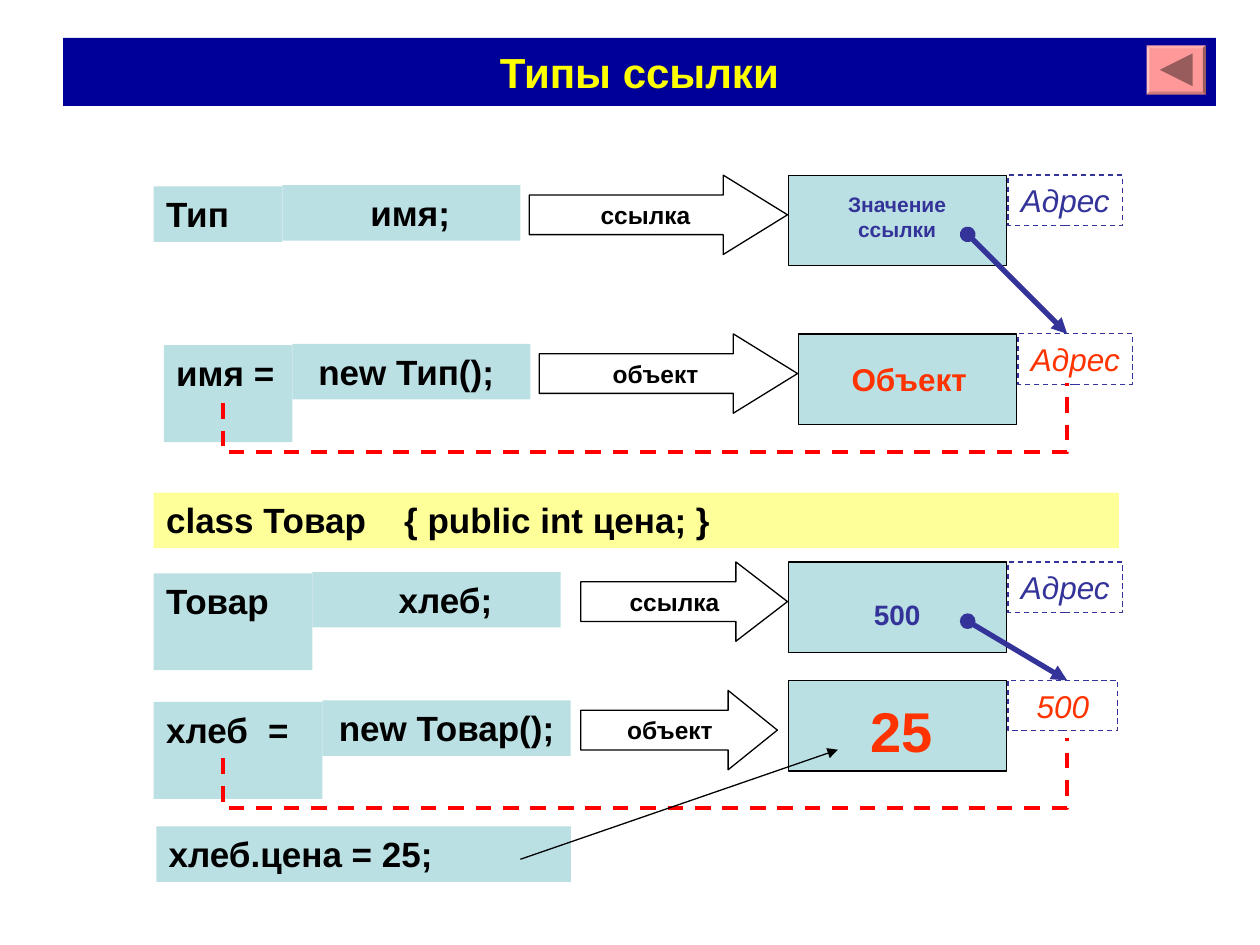
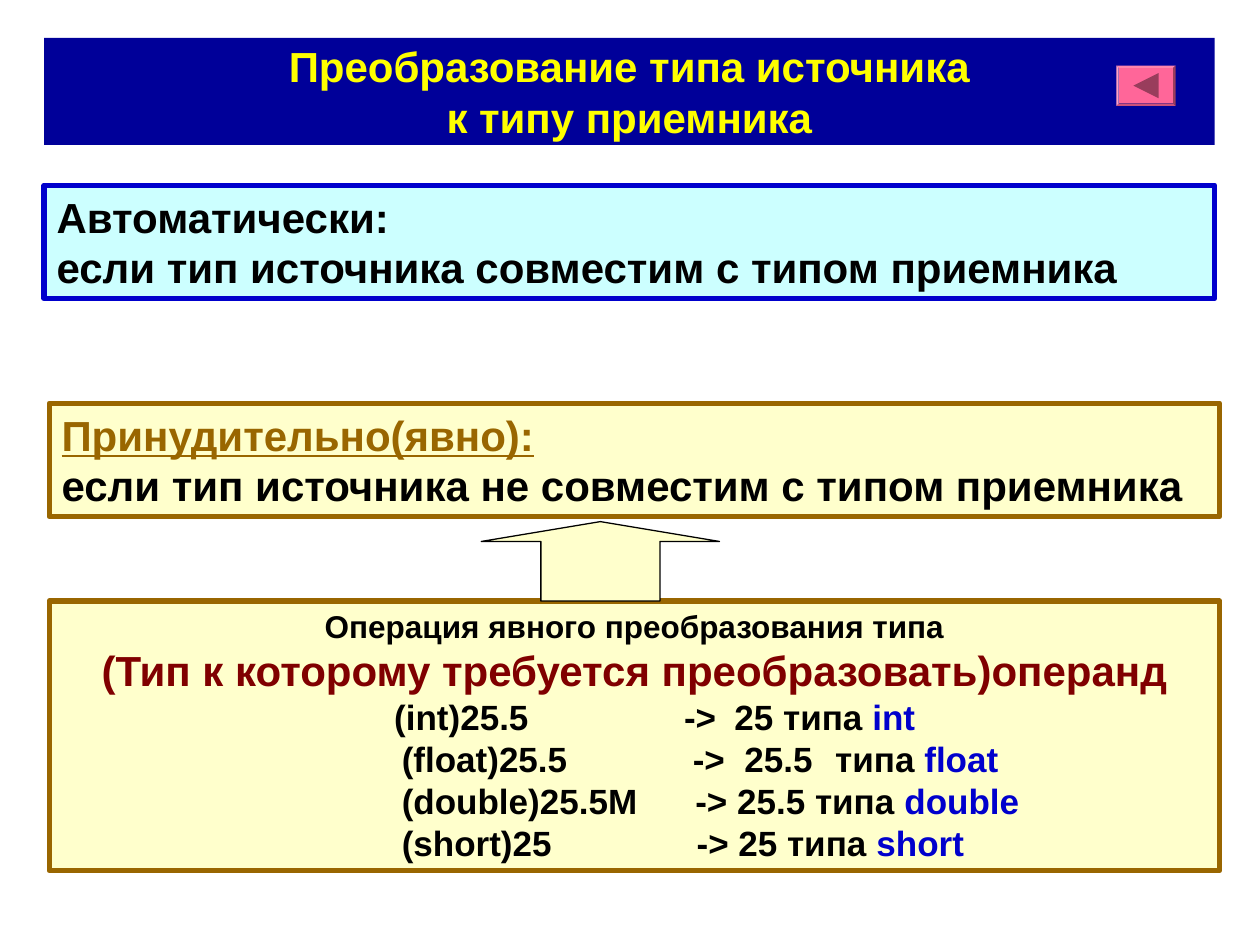
from dataclasses import dataclass

import lxml.etree
import pptx
import pptx.dml.color
import pptx.enum.dml
import pptx.enum.shapes
import pptx.enum.text
import pptx.oxml.ns
import pptx.util

Inches = pptx.util.Inches
SHAPE = pptx.enum.shapes.MSO_SHAPE
ALIGN = pptx.enum.text.PP_ALIGN
ANCHOR = pptx.enum.text.MSO_ANCHOR
DASH = pptx.enum.dml.MSO_LINE.DASH
qn = pptx.oxml.ns.qn


@dataclass(frozen=True)
class Theme:
    font: str = "Arial"
    band: str = "000099"
    title: str = "FFFF00"
    ink: str = "000000"
    teal: str = "BBE0E3"
    code: str = "FFFF99"
    link: str = "333399"
    value: str = "FF3300"
    trace: str = "FF0000"
    auto_fill: str = "CCFFFF"
    blue: str = "0000CC"
    cast_fill: str = "FFFFCC"
    brown: str = "996600"
    maroon: str = "800000"
    heading: int = 24
    body: int = 20
    label: int = 18
    cell: int = 16
    arrow: int = 14
    small: int = 12
    big: int = 32


T = Theme()


def rgb(color):
    return pptx.dml.color.RGBColor.from_string(color)


# Text

def write(tf, paragraphs, size=T.body, color=T.ink, bold=True, italic=False,
          underline=False, align=ALIGN.LEFT, anchor=ANCHOR.TOP, wrap=True,
          left=0.1, right=0.1, tabs=()):
    """Fill a frame; a paragraph is a string or a list of (text, overrides)."""
    tf.word_wrap = wrap
    tf.auto_size = pptx.enum.text.MSO_AUTO_SIZE.NONE
    tf.vertical_anchor = anchor
    tf.margin_left, tf.margin_right = Inches(left), Inches(right)
    tf.margin_top = tf.margin_bottom = Inches(0.05)
    base = dict(size=size, color=color, bold=bold, italic=italic,
                underline=underline, align=align, tabs=tabs)
    for i, runs in enumerate(paragraphs):
        p = tf.add_paragraph() if i else tf.paragraphs[0]
        if isinstance(runs, str):
            runs = [(runs, {})]
        first = {**base, **runs[0][1]}
        p.alignment = first["align"]
        set_tabs(p, first["tabs"])
        for text, changes in runs:
            fmt = {**base, **changes}
            r = p.add_run()
            r.text = text
            r.font.name = T.font
            r.font.size = pptx.util.Pt(fmt["size"])
            r.font.bold = fmt["bold"]
            r.font.italic = fmt["italic"]
            r.font.underline = fmt["underline"]
            r.font.color.rgb = rgb(fmt["color"])


def set_tabs(p, stops):
    if stops:
        tab_list = lxml.etree.SubElement(p._p.get_or_add_pPr(), qn("a:tabLst"))
        for stop in stops:
            lxml.etree.SubElement(tab_list, qn("a:tab"),
                                  pos=str(Inches(stop)), algn="l")


# Shapes and lines

def style(sp, fill=None, line=None, width=0.75, dash=None):
    sp.shadow.inherit = False
    if fill:
        sp.fill.solid()
        sp.fill.fore_color.rgb = rgb(fill)
    else:
        sp.fill.background()
    if line:
        sp.line.color.rgb = rgb(line)
        sp.line.width = pptx.util.Pt(width)
        if dash:
            sp.line.dash_style = dash
    else:
        sp.line.fill.background()


def box(s, at, paragraphs=(), fill=None, line=None, width=0.75, dash=None,
        kind=SHAPE.RECTANGLE, adjust=(), **fmt):
    sp = s.shapes.add_shape(kind, *map(Inches, at))
    for i, value in enumerate(adjust):
        sp.adjustments[i] = value
    style(sp, fill, line, width, dash)
    if paragraphs:
        write(sp.text_frame, paragraphs, **fmt)
    return sp


def label(s, at, paragraphs, **fmt):
    write(s.shapes.add_textbox(*map(Inches, at)).text_frame, paragraphs, **fmt)


def outline(s, points, closed=False, **look):
    points = [(Inches(x), Inches(y)) for x, y in points]
    builder = s.shapes.build_freeform(*points[0], scale=1.0)
    builder.add_line_segments(points[1:], close=closed)
    style(builder.convert_to_shape(), **look)


def arrow_line(s, start, end, color, width, head=None):
    c = s.shapes.add_connector(pptx.enum.shapes.MSO_CONNECTOR.STRAIGHT,
                               *map(Inches, start + end))
    c.line.color.rgb = rgb(color)
    c.line.width = pptx.util.Pt(width)
    ln = c.line._get_or_add_ln()
    if head:
        lxml.etree.SubElement(ln, qn("a:headEnd"), type=head)
    lxml.etree.SubElement(ln, qn("a:tailEnd"), type="triangle")
    lxml.etree.SubElement(c._element.spPr, qn("a:effectLst"))


# Parts shared by the slides

def title_slide(prs, at, lines):
    s = prs.slides.add_slide(prs.slide_layouts[5])
    sp = s.shapes.title
    sp.left, sp.top, sp.width, sp.height = map(Inches, at)
    sp.fill.solid()
    sp.fill.fore_color.rgb = rgb(T.band)
    write(sp.text_frame, lines, size=T.heading, color=T.title,
          align=ALIGN.CENTER, anchor=ANCHOR.MIDDLE)
    return s


def back_button(s, at, fill, mark, size):
    x, y, w, h = at
    box(s, at, fill=fill, kind=SHAPE.BEVEL, adjust=[0.06])
    cx, cy, r = x + w / 2, y + h / 2, size / 2
    outline(s, [(cx - r, cy), (cx + r, cy - r), (cx + r, cy + r)],
            closed=True, fill=mark)


# Parts of the reference diagram

def declaration(s, x, y, name, name_size, expr, expr_width,
                tabs=(), **margins):
    name_width, name_height = name_size
    box(s, (x, y + 0.01, name_width, name_height), [name], fill=T.teal,
        tabs=tabs, wrap=False)
    box(s, (x + name_width, y, expr_width, 0.44), [expr], fill=T.teal,
        align=ALIGN.CENTER, **margins)


def block_arrow(s, x, y, width, text, head):
    box(s, (x, y, width, 0.63), [text], line=T.ink,
        kind=SHAPE.RIGHT_ARROW, adjust=[0.5, head], size=T.arrow,
        align=ALIGN.CENTER, anchor=ANCHOR.MIDDLE, wrap=False, left=0.15)


def memory_cell(s, x, y, address, color, address_width=0.91):
    box(s, (x, y, 1.73, 0.72), fill=T.teal, line=T.ink)
    box(s, (x + 1.74, y, address_width, 0.4), [address], line=T.link,
        dash=DASH, size=T.label, color=color, bold=False, italic=True,
        align=ALIGN.CENTER, wrap=False)


def address_trace(s, bottom):
    left, right = 1.77, 8.47
    outline(s, [(left, bottom - 0.39), (left, bottom), (right, bottom),
                (right, bottom - 0.55)], line=T.trace, width=2.25, dash=DASH)


def references_slide(prs):
    s = title_slide(prs, (0.5, 0.3, 9.15, 0.54), ["Типы ссылки"])
    back_button(s, (9.1, 0.36, 0.47, 0.39), "FF9999", "995C5C", 0.26)

    # General form
    declaration(s, 1.22, 1.47, "Тип", (1.02, 0.44), "имя;", 1.89, left=0.24)
    block_arrow(s, 4.2, 1.39, 2.05, "ccылка", 0.81)
    memory_cell(s, 6.26, 1.39, "Адрес", T.link)
    label(s, (6.42, 1.47, 1.4, 0.5), ["Значение", "ссылки"], size=T.small,
          color=T.link, align=ALIGN.CENTER)
    declaration(s, 1.3, 2.73, "имя =", (1.02, 0.77), "new Тип();", 1.89,
                right=0.18)
    block_arrow(s, 4.28, 2.65, 2.05, "объект", 0.81)
    memory_cell(s, 6.34, 2.65, "Адрес", T.value)
    label(s, (6.66, 2.81, 1.12, 0.4), ["Объект"], size=T.label,
          color=T.value, wrap=False)

    # Example with a class
    box(s, (1.22, 3.91, 7.66, 0.44), ["class Товар\t{ public int цена; }"],
        fill=T.code, tabs=[1.89])
    declaration(s, 1.22, 4.54, "Товар", (1.26, 0.77), "хлеб;", 1.97, left=0.24)
    block_arrow(s, 4.61, 4.46, 1.64, "ccылка", 0.65)
    memory_cell(s, 6.26, 4.46, "Адрес", T.link)
    label(s, (6.42, 4.69, 1.4, 0.37), ["500"], size=T.cell, color=T.link,
          align=ALIGN.CENTER)
    declaration(s, 1.22, 5.56, "хлеб\t=", (1.34, 0.77), "new Товар();", 1.97,
                tabs=[0.81])
    block_arrow(s, 4.61, 5.48, 1.56, "объект", 0.62)
    memory_cell(s, 6.26, 5.4, "500", T.value, address_width=0.87)
    label(s, (6.81, 5.48, 0.87, 0.64), ["25"], size=T.big, color=T.value)
    box(s, (1.24, 6.56, 3.29, 0.44), ["хлеб.цена = 25;"], fill=T.teal)

    # Links between cells
    for start, end in ((1.86, 2.65), (4.93, 5.4)):
        arrow_line(s, (7.68, start), (8.47, end), T.link, 3, head="oval")
    for bottom in (3.59, 6.41):
        address_trace(s, bottom)
    arrow_line(s, (4.13, 6.82), (6.65, 5.95), T.ink, 0.75)


# Parts of the conversion slide

def framed(s, at, paragraphs, fill, line):
    box(s, at, paragraphs, fill=fill, line=line, width=3, size=T.heading)


def cast_row(text, type_name, tabs):
    return [(text, dict(size=T.body, tabs=tabs)),
            (type_name, dict(size=T.body, color=T.blue))]


def conversion_slide(prs):
    s = title_slide(prs, (0.35, 0.3, 9.29, 0.85),
                    ["Преобразование типа источника", "к типу приемника"])
    back_button(s, (8.86, 0.52, 0.47, 0.32), "FF6699", "993D5C", 0.2)

    # Implicit and explicit conversion
    framed(s, (0.35, 1.47, 9.29, 0.9),
           ["Автоматически:", "если тип источника совместим с типом приемника"],
           T.auto_fill, T.blue)
    framed(s, (0.39, 3.2, 9.29, 0.9),
           [[("Принудительно(явно):", dict(color=T.brown, underline=True))],
            "если тип источника не совместим с типом приемника"],
           T.cast_fill, T.brown)

    # Cast operation with examples
    framed(s, (0.39, 4.77, 9.29, 2.14), [
        [("Операция явного преобразования типа",
          dict(size=T.label, align=ALIGN.CENTER))],
        [("(Тип к которому требуется преобразовать)операнд",
          dict(color=T.maroon, align=ALIGN.CENTER))],
        cast_row("\t(int)25.5\t->\t25 типа ", "int", (2.64, 4.94, 5.34)),
        cast_row("\t(float)25.5\t->\t25.5\tтипа ", "float",
                 (2.7, 5.01, 5.42, 6.14)),
        cast_row("\t(double)25.5M\t-> 25.5 типа ", "double", (2.7, 5.03)),
        cast_row("\t(short)25\t-> 25 типа ", "short", (2.7, 5.04)),
    ], T.cast_fill, T.brown)
    box(s, (3.82, 4.14, 1.89, 0.63), fill=T.cast_fill, line=T.ink,
        kind=SHAPE.UP_ARROW, adjust=[0.5, 0.25])


def main():
    prs = pptx.Presentation()
    prs.slide_width, prs.slide_height = Inches(10), Inches(7.5)
    references_slide(prs)
    conversion_slide(prs)
    prs.save("out.pptx")


if __name__ == "__main__":
    main()
